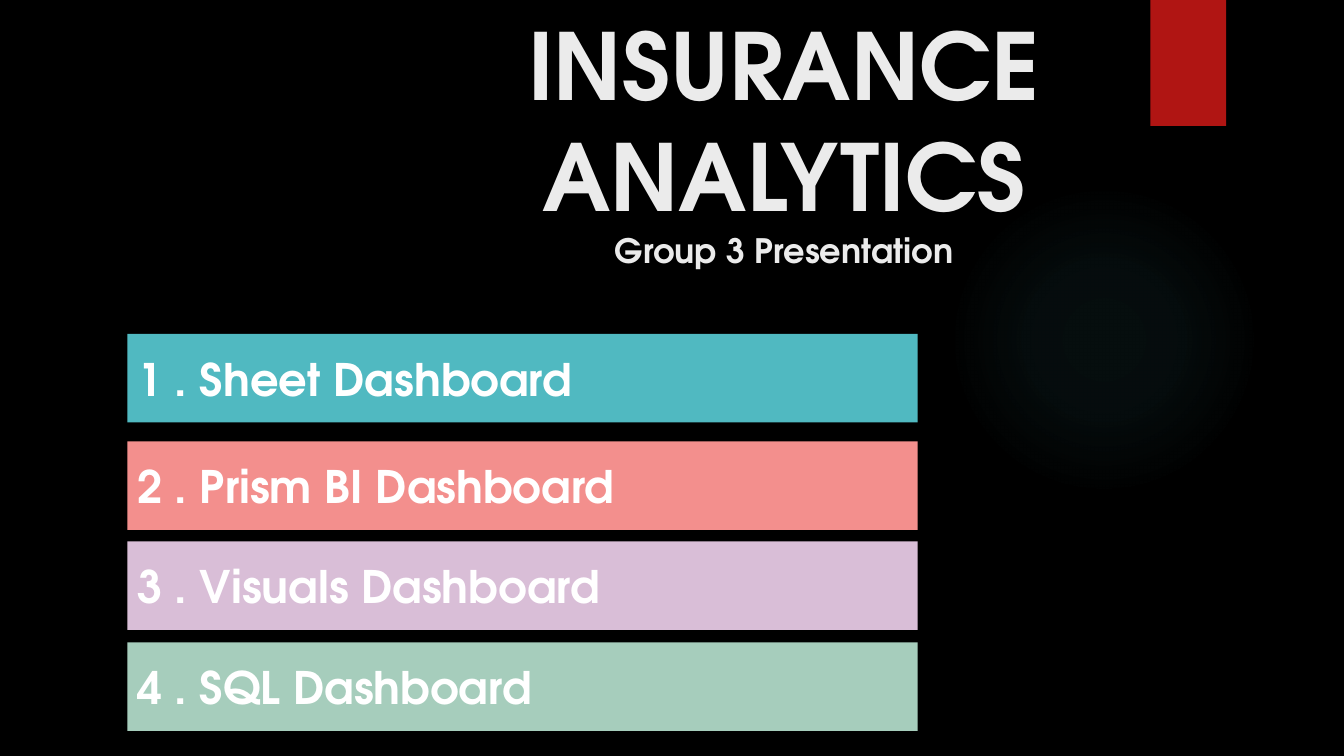
import dataclasses

import pptx
import pptx.dml.color
import pptx.enum.shapes
import pptx.enum.text
import pptx.oxml
import pptx.oxml.ns
import pptx.util

Pt = pptx.util.Pt
RGB = pptx.dml.color.RGBColor.from_string
SHAPE = pptx.enum.shapes.MSO_SHAPE
ALIGN = pptx.enum.text.PP_ALIGN
ANCHOR = pptx.enum.text.MSO_ANCHOR


@dataclasses.dataclass(frozen=True)
class Theme:
    font: str = "TeX Gyre Adventor"
    background: str = "000000"
    title: str = "EBEBEB"
    bar_text: str = "FFFFFF"
    ribbon: str = "B01513"
    teal: str = "50B9C1"
    coral: str = "F38F8D"
    lilac: str = "D9BED7"
    sage: str = "A6CDBC"
    title_size: int = 66
    subtitle_size: int = 24
    bar_size: int = 32


THEME = Theme()
BARS = [
    ("1 . Sheet Dashboard", THEME.teal, 238.5),
    ("2 . Prism BI Dashboard", THEME.coral, 315.25),
    ("3 . Visuals Dashboard", THEME.lilac, 386.75),
    ("4 . SQL Dashboard", THEME.sage, 458.75),
]
GLOW_STOPS = [(0, 7), (36, 6), (69, 0)]


def add_block(s, kind, left, top, width, height, color):
    sp = s.shapes.add_shape(kind, Pt(left), Pt(top), Pt(width), Pt(height))
    sp.shadow.inherit = False
    sp.fill.solid()
    sp.fill.fore_color.rgb = RGB(color)
    sp.line.fill.background()
    return sp


def add_glow(s, left, top, size):
    sp = add_block(s, SHAPE.OVAL, left, top, size, size, THEME.teal)
    stops = "".join(
        f'<a:gs pos="{pos * 1000}"><a:srgbClr val="{THEME.teal}">'
        f'<a:alpha val="{alpha * 1000}"/></a:srgbClr></a:gs>'
        for pos, alpha in GLOW_STOPS
    )
    grad = pptx.oxml.parse_xml(
        f'<a:gradFill {pptx.oxml.ns.nsdecls("a")}><a:gsLst>{stops}</a:gsLst>'
        '<a:path path="circle"><a:fillToRect l="50000" t="50000" r="50000" b="50000"/>'
        "</a:path></a:gradFill>"
    )
    spPr = sp.element.spPr
    spPr.replace(spPr.find(pptx.oxml.ns.qn("a:solidFill")), grad)


def set_font(p, color):
    p.font.name = THEME.font
    p.font.bold = True
    p.font.color.rgb = RGB(color)


def set_title(s, lines):
    sp = s.shapes.title
    sp.left, sp.top, sp.width, sp.height = Pt(160), Pt(6), Pt(800), Pt(190.5)
    tf = sp.text_frame
    tf.auto_size = pptx.enum.text.MSO_AUTO_SIZE.NONE
    tf.vertical_anchor = ANCHOR.BOTTOM
    p = tf.paragraphs[0]
    p.alignment = ALIGN.CENTER
    set_font(p, THEME.title)
    for i, (text, size) in enumerate(lines):
        if i:
            p.add_line_break()
        r = p.add_run()
        r.text = text
        r.font.size = Pt(size)


def add_bar(s, text, color, top):
    sp = add_block(s, SHAPE.RECTANGLE, 91, top, 564.5, 63.25, color)
    tf = sp.text_frame
    tf.vertical_anchor = ANCHOR.MIDDLE
    p = tf.paragraphs[0]
    p.text = text
    p.alignment = ALIGN.LEFT
    p.font.size = Pt(THEME.bar_size)
    set_font(p, THEME.bar_text)


def main():
    prs = pptx.Presentation()
    prs.slide_width, prs.slide_height = Pt(960), Pt(540)
    s = prs.slides.add_slide(prs.slide_layouts.get_by_name("Title Only"))
    s.background.fill.solid()
    s.background.fill.fore_color.rgb = RGB(THEME.background)
    add_glow(s, 677.5, 131.75, 221.75)
    add_block(s, SHAPE.RECTANGLE, 821.75, 0, 54, 90, THEME.ribbon)
    set_title(s, [
        ("INSURANCE", THEME.title_size),
        ("ANALYTICS", THEME.title_size),
        ("Group 3 Presentation", THEME.subtitle_size),
    ])
    for text, color, top in BARS:
        add_bar(s, text, color, top)
    prs.save("out.pptx")


if __name__ == "__main__":
    main()
